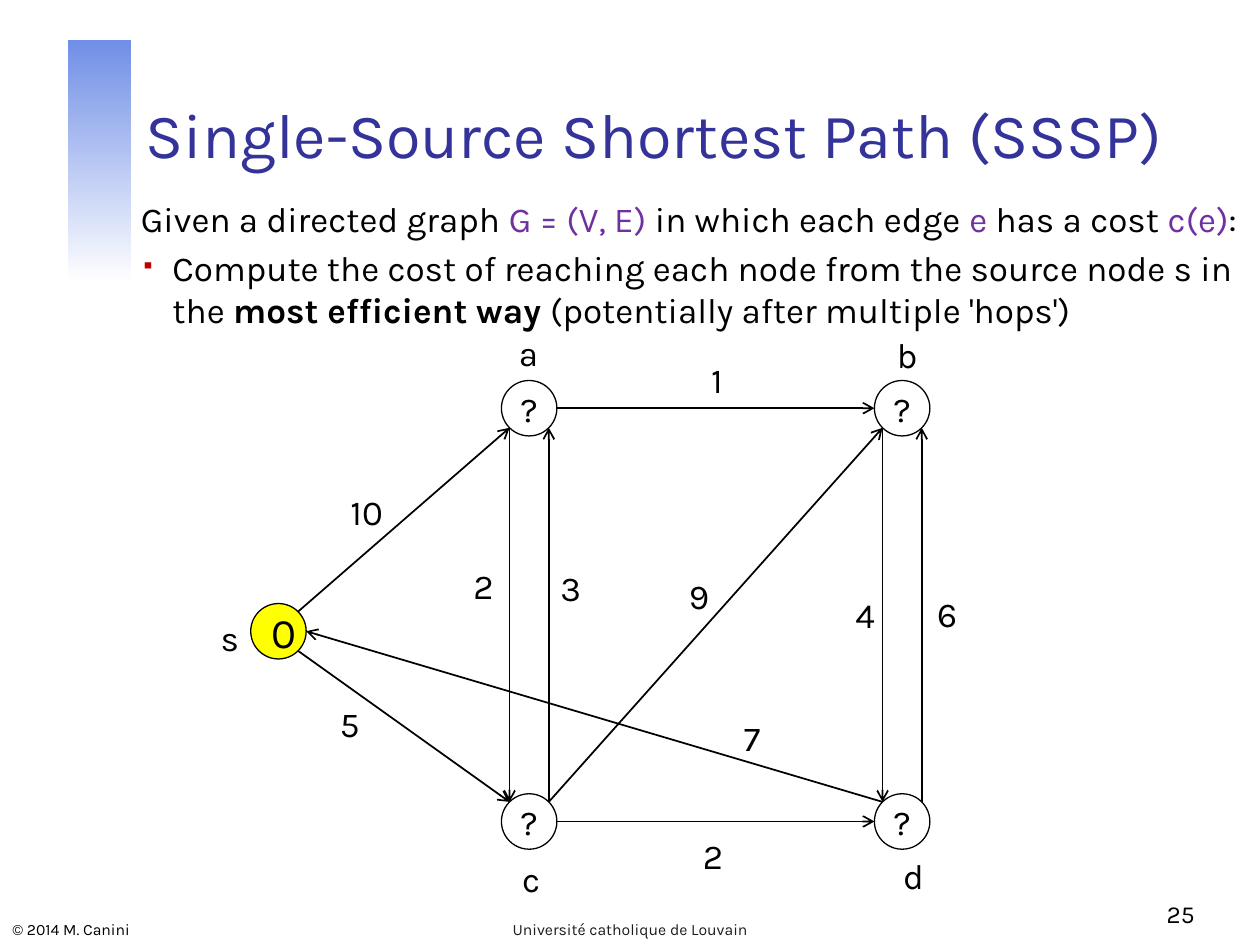
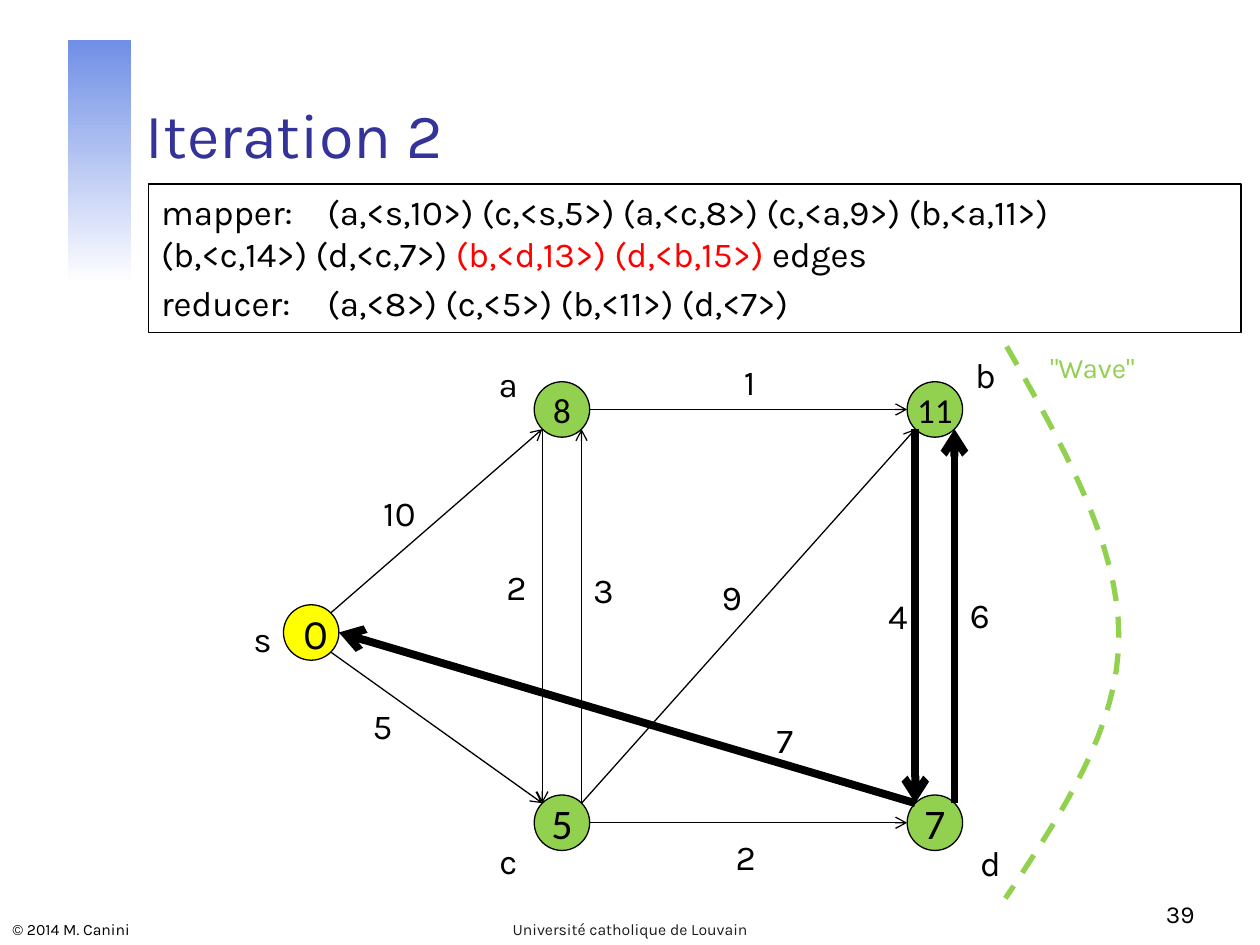
"""Build two lecture slides on single-source shortest paths."""
from dataclasses import dataclass
from math import hypot
from typing import Any

from lxml.etree import SubElement
from pptx import Presentation
from pptx.dml.color import RGBColor
from pptx.enum.dml import MSO_LINE
from pptx.enum.shapes import MSO_CONNECTOR, MSO_SHAPE
from pptx.enum.text import MSO_ANCHOR as ANCHOR, PP_ALIGN as ALIGN
from pptx.oxml.ns import qn
from pptx.util import Inches, Pt


@dataclass(frozen=True)
class Theme:
    font: str = "Karla"
    value_font: str = "Calibri"
    ink: str = "000000"
    paper: str = "FFFFFF"
    title: str = "333399"
    band: str = "708FE6"
    footer: str = "1C1C1C"
    formula: str = "7030A0"
    bullet: str = "C00000"
    new: str = "FF0000"
    source: str = "FFFF00"
    visited: str = "92D050"
    title_size: int = 36
    value_size: int = 24
    body_size: int = 20
    note_size: int = 16
    number_size: int = 14
    footer_size: int = 9


THEME = Theme()
NODE_SIZE = 0.44
NODES = {"s": (1.99, 4.79), "a": (3.98, 3.02), "b": (6.94, 3.02),
         "c": (3.98, 6.3), "d": (6.94, 6.3)}
COMPASS = {"E": (1, 0), "W": (-1, 0), "NE": (1, -1), "NW": (-1, -1),
           "SE": (1, 1), "SW": (-1, 1)}
EDGES = [
    ("s", "NE", "a", "SW", "10", 2.67, 3.84),
    ("s", "SE", "c", "NW", "5", 2.6, 5.53),
    ("a", "E", "b", "W", "1", 5.52, 2.8),
    ("c", "E", "d", "W", "2", 5.48, 6.57),
    ("c", "NE", "b", "SW", "9", 5.37, 4.51),
    ("d", "NW", "s", "E", "7", 5.8, 5.64),
    ("c", "NE", "a", "SE", "3", 4.35, 4.45),
    ("a", "SW", "c", "NW", "2", 3.66, 4.43),
    ("d", "NE", "b", "SE", "6", 7.34, 4.65),
    ("b", "SW", "d", "NW", "4", 6.69, 4.66),
]


def color(value):
    return RGBColor.from_string(value)


def write(frame, text, size=THEME.body_size, ink=THEME.ink, font=THEME.font,
          align=None, anchor=ANCHOR.TOP, wrap=True, before=0, inset=None,
          bullets=(), tab=None):
    """Write text, or paragraphs of (text, colour, bold) runs, into a frame."""
    frame.word_wrap = wrap
    frame.vertical_anchor = anchor
    if inset is not None:
        frame.margin_left = frame.margin_right = Inches(inset)
        frame.margin_top = frame.margin_bottom = Inches(inset)
    paragraphs = [[(text, ink, False)]] if isinstance(text, str) else text
    for index, runs in enumerate(paragraphs):
        paragraph = frame.add_paragraph() if index else frame.paragraphs[0]
        paragraph.alignment = align
        paragraph.space_before = Pt(before)
        properties = paragraph._p.get_or_add_pPr()
        if index in bullets:
            properties.set("marL", str(Inches(0.25)))
            properties.set("indent", str(-Inches(0.25)))
            bullet_color = SubElement(properties, qn("a:buClr"))
            SubElement(bullet_color, qn("a:srgbClr"), val=THEME.bullet)
            SubElement(properties, qn("a:buSzPct"), val="55000")
            SubElement(properties, qn("a:buChar"), char="▪")
        if tab:
            stops = SubElement(properties, qn("a:tabLst"))
            SubElement(stops, qn("a:tab"), pos=str(Inches(tab)), algn="l")
        for words, run_ink, bold in runs:
            run = paragraph.add_run()
            run.text = words
            run.font.name = font
            run.font.size = Pt(size)
            run.font.bold = bold
            run.font.color.rgb = color(run_ink)


@dataclass
class Deck:
    presentation: Any
    theme: Theme = THEME
    slide: Any = None

    def start(self, title, number):
        theme = self.theme
        self.slide = self.presentation.slides.add_slide(self.presentation.slide_layouts[6])
        band = self.shape(MSO_SHAPE.RECTANGLE, 0.54, 0.32, 0.5, 1.93)
        band.line.fill.background()
        band.fill.gradient()
        band.fill.gradient_angle = 270
        for stop, position, shade in zip(band.fill.gradient_stops, (0, 1), (theme.band, theme.paper)):
            stop.position = position
            stop.color.rgb = color(shade)
        low = {"anchor": ANCHOR.BOTTOM}
        small = {"size": theme.footer_size, **low}
        self.text("© 2014 M. Canini", 0, 7.22, 3.02, 0.28, **small)
        self.text("Université catholique de Louvain", 3.42, 7.22, 3.16, 0.28,
                  ink=theme.footer, align=ALIGN.CENTER, **small)
        self.text(number, 7.5, 6.92, 2.08, 0.5, size=theme.number_size, align=ALIGN.RIGHT, **low)
        self.text(title, 1.06, 0.33, 8.52, 1.08, size=theme.title_size, ink=theme.title, **low)

    def text(self, text, left, top, width, height, **style):
        box = self.slide.shapes.add_textbox(*map(Inches, (left, top, width, height)))
        write(box.text_frame, text, **style)

    def label(self, text, left, top, width, height):
        self.text(text, left, top, width, height, align=ALIGN.CENTER, wrap=False, before=4)

    def shape(self, kind, left, top, width, height, fill=None):
        shape = self.slide.shapes.add_shape(kind, *map(Inches, (left, top, width, height)))
        shape.shadow.inherit = False
        if fill:
            shape.fill.solid()
            shape.fill.fore_color.rgb = color(fill)
        else:
            shape.fill.background()
        shape.line.color.rgb = color(self.theme.ink)
        shape.line.width = Pt(0.75)
        return shape

    def box(self, text, left, top, width, height, **style):
        box = self.shape(MSO_SHAPE.RECTANGLE, left, top, width, height)
        write(box.text_frame, text, align=ALIGN.LEFT, **style)

    def node(self, value, left, top, fill, **style):
        circle = self.shape(MSO_SHAPE.OVAL, left, top, NODE_SIZE, NODE_SIZE, fill)
        write(circle.text_frame, value, align=ALIGN.CENTER, anchor=ANCHOR.MIDDLE, **style)

    def arrow(self, start, end, width):
        arrow = self.slide.shapes.add_connector(MSO_CONNECTOR.STRAIGHT, *map(Inches, (*start, *end)))
        arrow.line.color.rgb = color(self.theme.ink)
        arrow.line.width = Pt(width)
        SubElement(arrow.line._ln, qn("a:tailEnd"), type="arrow")
        SubElement(arrow._element.spPr, qn("a:effectLst"))

    def curve(self, points, ink, width):
        start, *others = [tuple(map(Inches, point)) for point in points]
        builder = self.slide.shapes.build_freeform(*start)
        builder.add_line_segments(others, close=False)
        curve = builder.convert_to_shape()
        curve.shadow.inherit = False
        curve.fill.background()
        curve.line.color.rgb = color(ink)
        curve.line.width = Pt(width)
        curve.line.dash_style = MSO_LINE.DASH

    def graph(self, values, names, fill, shift=(0, 0), thin=1, thick=()):
        theme = self.theme
        places = {name: (x + shift[0], y + shift[1]) for name, (x, y) in NODES.items()}
        self.node("0", *places["s"], theme.source, size=theme.value_size)
        for name, (value, style) in values.items():
            self.node(value, *places[name], fill, inset=0, **style)

        def rim(name, side):
            radius = NODE_SIZE / 2
            step = COMPASS[side]
            return [corner + radius + radius * part / hypot(*step)
                    for corner, part in zip(places[name], step)]

        for tail, tail_side, head, head_side, *_ in EDGES:
            width = 4.5 if tail + head in thick else thin
            self.arrow(rim(tail, tail_side), rim(head, head_side), width)
        for *_, cost, x, y in EDGES:
            self.label(cost, x + shift[0], y + shift[1], 0.2 + 0.14 * len(cost), 0.44)
        for name, (x, y) in names.items():
            self.label(name, x, y, 0.35, 0.5)


def bezier(start, first, second, end, steps=16):
    """Return points along a cubic curve, without its start."""
    def at(t):
        weights = ((1 - t) ** 3, 3 * t * (1 - t) ** 2, 3 * t * t * (1 - t), t ** 3)
        return tuple(sum(weight * value for weight, value in zip(weights, axis))
                     for axis in zip(start, first, second, end))
    return [at(step / steps) for step in range(1, steps + 1)]


def problem_slide(deck):
    ink, formula = THEME.ink, THEME.formula
    deck.start("Single-Source Shortest Path (SSSP)", "25")
    unknown = ("?", {"before": 4})
    deck.graph(dict.fromkeys("abcd", unknown),
               {"s": (1.65, 4.84), "a": (4.02, 2.58), "b": (7.02, 2.6),
                "c": (4.04, 6.76), "d": (7.07, 6.73)}, THEME.paper)
    deck.text([
        [("Given a directed graph ", ink, False), ("G = (V, E)", formula, False),
         (" in which each edge ", ink, False), ("e", formula, False),
         (" has a cost ", ink, False), ("c(e)", formula, False), (":", ink, False)],
        [("Compute the cost of reaching each node from the source node s in the ", ink, False),
         ("most efficient way ", ink, True),
         ("(potentially after multiple 'hops')", ink, False)],
    ], 1.02, 1.52, 8.98, 1.18, before=4, bullets=(1,))


def iteration_slide(deck):
    ink = THEME.ink
    deck.start("Iteration 2", "39")
    deck.box([
        [("mapper:\t(a,<s,10>) (c,<s,5>) (a,<c,8>) (c,<a,9>) (b,<a,11>) \t(b,<c,14>) (d,<c,7>)",
          ink, False),
         (" (b,<d,13>) (d,<b,15>)", THEME.new, False), (" edges", ink, False)],
        [("reducer:\t(a,<8>) (c,<5>) (b,<11>) (d,<7>)", ink, False)],
    ], 1.18, 1.46, 8.67, 1.18, before=4, tab=1.32)
    small = {"font": THEME.value_font}
    large = {"font": THEME.value_font, "size": THEME.value_size}
    deck.graph({"a": ("8", small), "b": ("11", {**small, "before": 4}),
                "c": ("5", large), "d": ("7", large)},
               {"s": (1.91, 4.85), "a": (3.86, 2.83), "b": (7.64, 2.76),
                "c": (3.86, 6.61), "d": (7.68, 6.63)}, THEME.visited,
               shift=(0.26, 0.01), thin=0.75, thick=("ds", "db", "bd"))
    top, middle, bottom = (7.99, 2.75), (8.88, 5.05), (7.98, 7.13)
    deck.curve([top, *bezier(top, (8.44, 3.54), (8.88, 4.32), middle),
                *bezier(middle, (8.88, 5.78), (8.43, 6.45), bottom)], THEME.visited, 3)
    deck.text('"Wave"', 8.21, 2.73, 0.92, 0.37, size=THEME.note_size,
              ink=THEME.visited, align=ALIGN.CENTER, before=3)


def main():
    presentation = Presentation()
    presentation.slide_width = Inches(10)
    presentation.slide_height = Inches(7.5)
    deck = Deck(presentation)
    problem_slide(deck)
    iteration_slide(deck)
    presentation.save("out.pptx")


main()
